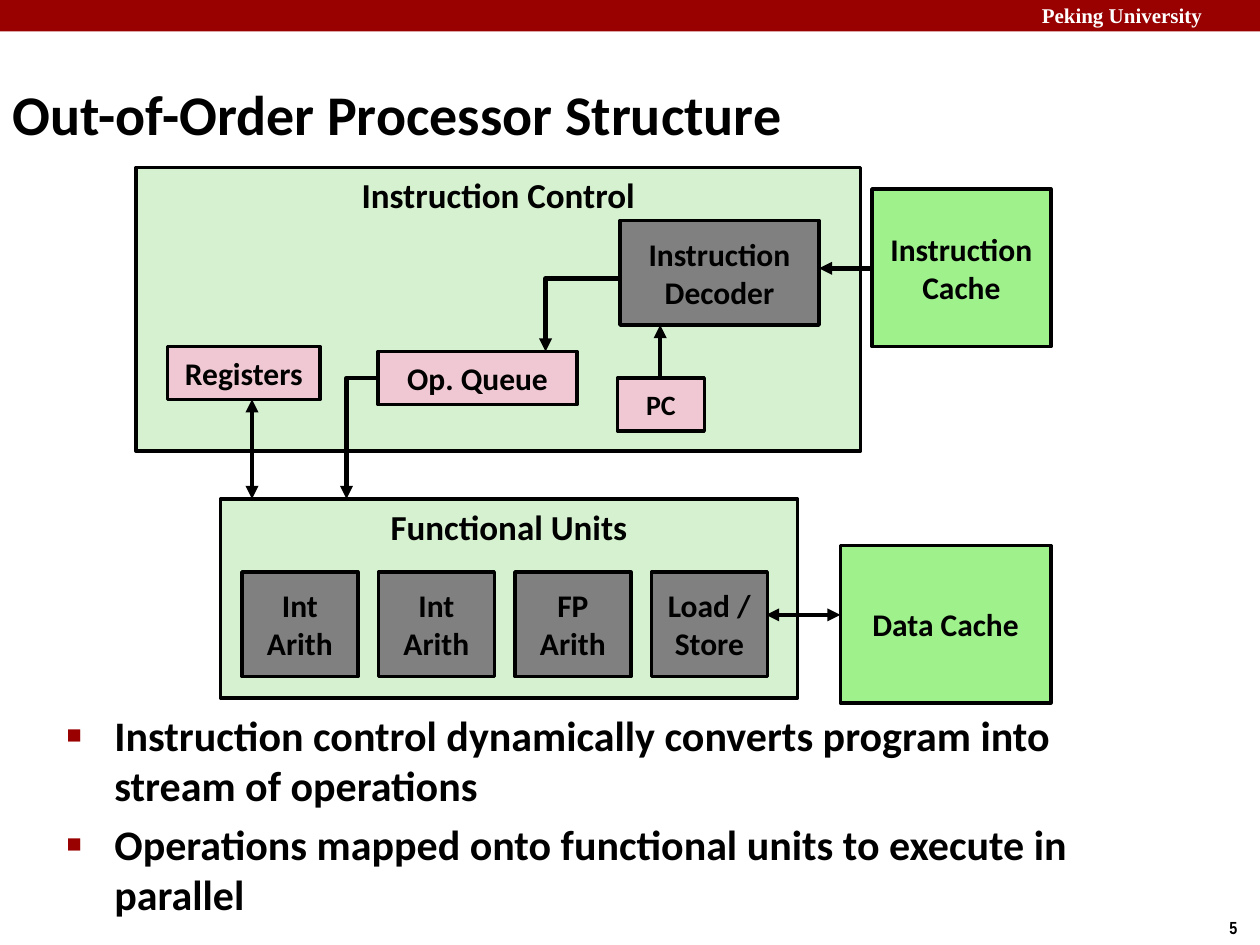
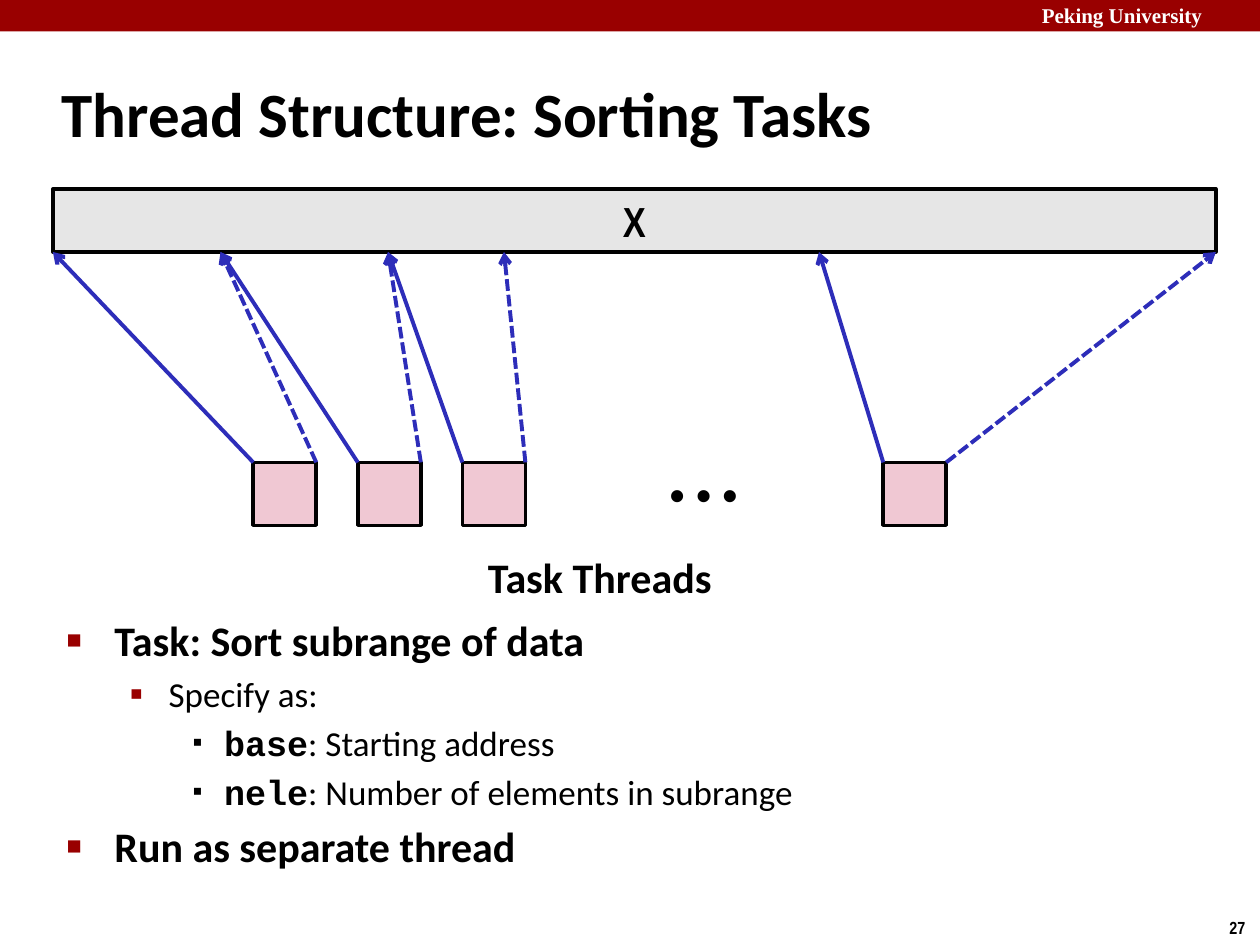
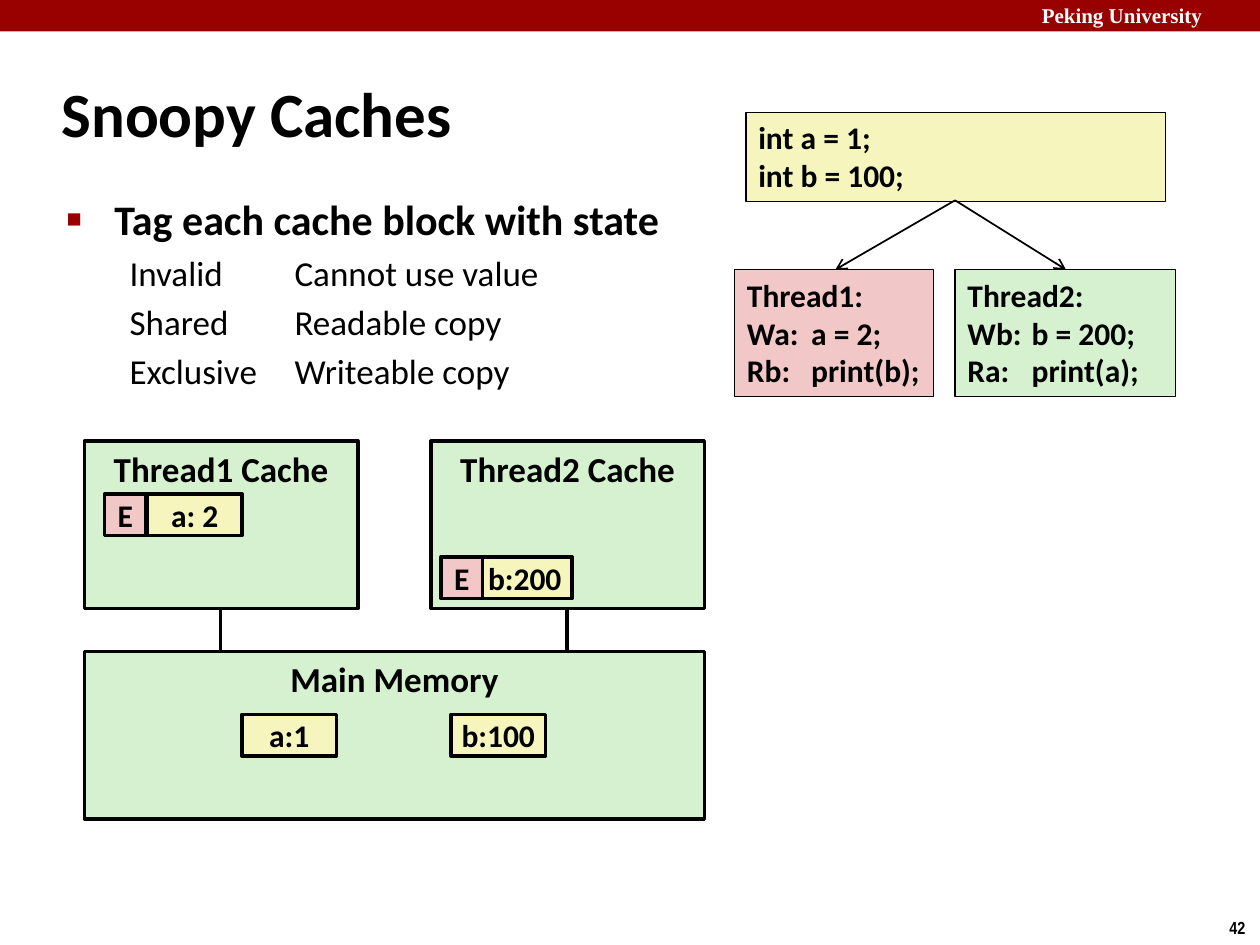
from lxml import etree
from pptx import Presentation
from pptx.dml.color import RGBColor
from pptx.enum.dml import MSO_LINE
from pptx.enum.shapes import MSO_CONNECTOR, MSO_SHAPE
from pptx.enum.text import MSO_ANCHOR, PP_ALIGN
from pptx.oxml.ns import qn
from pptx.util import Inches, Pt

RECTANGLE = MSO_SHAPE.RECTANGLE
STRAIGHT, ELBOW = MSO_CONNECTOR.STRAIGHT, MSO_CONNECTOR.ELBOW
DASHED = MSO_LINE.SQUARE_DOT
LEFT, CENTER = PP_ALIGN.LEFT, PP_ALIGN.CENTER
TOP, MIDDLE = MSO_ANCHOR.TOP, MSO_ANCHOR.MIDDLE

COLORS = {
    "black": "000000", "white": "FFFFFF", "band": "990000", "blue": "2D2DB9",
    "unit": "808080", "bar": "E6E6E6", "area": "D5F1CF", "cache": "9EF18B",
    "pink": "F0C8D3", "rose": "F1C7C7", "cream": "F6F5BD",
}
OUTLINE = {
    "point": dict(level=0, size=24, bold=True, margin=0.38, indent=-0.38,
                  char="■", percent=60, color="band"),
    "detail": dict(level=1, size=20, bold=False, margin=0.81, indent=-0.31,
                   char="▪", percent=110, color="band"),
    "item": dict(level=2, size=20, bold=False, margin=1.25, indent=-0.25,
                 char="▪", percent=80, color="black"),
    "term": dict(level=1, size=20, bold=False, margin=1.81, indent=-1.31, char=None),
}


def add_text(page, text, place, fill=None, line=2, size=18, font="Calibri", color="black",
             bold=True, align=LEFT, anchor=TOP, wrap=True, outline=None, tab=None):
    area = [Inches(length) for length in place]
    if fill:
        box = page.shapes.add_shape(RECTANGLE, *area)
        box.shadow.inherit = False
        box.fill.solid()
        box.fill.fore_color.rgb = RGBColor.from_string(COLORS[fill])
        if line:
            box.line.color.rgb = RGBColor.from_string(COLORS["black"])
            box.line.width = Pt(line)
        else:
            box.line.fill.background()
    else:
        box = page.shapes.add_textbox(*area)
    frame = box.text_frame
    frame.word_wrap = wrap
    frame.vertical_anchor = anchor
    for number, words in enumerate(text.split("\n")):
        para = frame.paragraphs[0] if number == 0 else frame.add_paragraph()
        para.alignment = align
        para_size, para_bold = size, bold
        properties = para._p.get_or_add_pPr()
        if outline:
            style = OUTLINE[outline[number]]
            para_size, para_bold = style["size"], style["bold"]
            para.level = style["level"]
            para.space_before = Pt(0.2 * para_size)
            properties.set("marL", str(Inches(style["margin"])))
            properties.set("indent", str(Inches(style["indent"])))
            if style["char"]:
                bullet_color = etree.SubElement(properties, qn("a:buClr"))
                etree.SubElement(bullet_color, qn("a:srgbClr"), val=COLORS[style["color"]])
                etree.SubElement(properties, qn("a:buSzPct"), val=str(style["percent"] * 1000))
                etree.SubElement(properties, qn("a:buFont"), typeface="Arial")
                etree.SubElement(properties, qn("a:buChar"), char=style["char"])
        if tab:
            stops = etree.SubElement(properties, qn("a:tabLst"))
            etree.SubElement(stops, qn("a:tab"), pos=str(Inches(tab)), algn="l")
        for part, piece in enumerate(words.split("`")):
            if piece:
                is_code = part % 2 == 1
                span = para.add_run()
                span.text = piece
                span.font.name = "Courier New" if is_code else font
                span.font.size = Pt(para_size)
                span.font.bold = is_code or para_bold
                span.font.color.rgb = RGBColor.from_string(COLORS[color])


def add_line(page, start, end, width=2.5, color="black", head=None, tail=None,
             dashed=False, bent=False):
    points = [Inches(length) for length in (*start, *end)]
    connector = page.shapes.add_connector(ELBOW if bent else STRAIGHT, *points)
    connector.line.color.rgb = RGBColor.from_string(COLORS[color])
    connector.line.width = Pt(width)
    if dashed:
        connector.line.dash_style = DASHED
    properties = connector._element.spPr
    if bent:
        properties.find(qn("a:prstGeom")).set("prst", "bentConnector2")
    stroke = properties.find(qn("a:ln"))
    for tag, arrow in (("a:headEnd", head), ("a:tailEnd", tail)):
        if arrow:
            etree.SubElement(stroke, qn(tag), type=arrow)
    etree.SubElement(properties, qn("a:effectLst"))


deck = Presentation()
deck.slide_width, deck.slide_height = Inches(10), Inches(7.5)
centered = dict(align=CENTER, anchor=MIDDLE)

pages = []
for title, number, left, title_size in [
    ("Out-of-Order Processor Structure", "5", 0, 32),
    ("Thread Structure: Sorting Tasks", "27", 0.39, 36),
    ("Snoopy Caches", "42", 0.39, 36),
]:
    page = deck.slides.add_slide(deck.slide_layouts[6])
    add_text(page, "", (0, 0, 10, 0.25), fill="band", line=None)
    add_text(page, "Peking University", (8.17, -0.03, 1.9, 0.3), size=12,
             font="Times New Roman", color="white")
    add_text(page, number, (9.66, 7.23, 0.34, 0.27), size=10, font="Arial Narrow", wrap=False)
    add_text(page, title, (left, 0.48, 8.3, 0.83), size=title_size, anchor=MIDDLE)
    pages.append(page)
processor_page, sorting_page, caches_page = pages

add_text(processor_page,
         "Instruction control dynamically converts program into stream of operations\n"
         "Operations mapped onto functional units to execute in parallel",
         (0.43, 5.58, 8.65, 1.34), outline=("point", "point"))
for name, place in [
    ("Functional Units", (1.75, 3.96, 4.58, 1.58)),
    ("Instruction Control", (1.08, 1.33, 5.75, 2.25)),
]:
    add_text(processor_page, name, place, fill="area", size=20, align=CENTER)
for column, name in enumerate(["Int\nArith", "Int\nArith", "FP\nArith", "Load /\nStore"]):
    add_text(processor_page, name, (1.92 + column * 3.25 / 3, 4.54, 0.92, 0.83),
             fill="unit", **centered)
for name, place, fill, size in [
    ("Registers", (1.33, 2.75, 1.21, 0.42), "pink", 18),
    ("Instruction Decoder", (4.92, 1.75, 1.58, 0.83), "unit", 18),
    ("Op. Queue", (3, 2.79, 1.58, 0.42), "pink", 18),
    ("PC", (4.9, 3, 0.69, 0.42), "pink", 16),
    ("Data Cache", (6.67, 4.33, 1.67, 1.25), "cache", 18),
    ("Instruction\nCache", (6.92, 1.5, 1.42, 1.25), "cache", 18),
]:
    add_text(processor_page, name, place, fill=fill, size=size, **centered)
for start, end, head, bent in [
    ((6.67, 4.88), (6.08, 4.88), "triangle", False),
    ((2, 3.17), (2, 3.96), "triangle", False),
    ((6.92, 2.13), (6.5, 2.13), None, False),
    ((5.24, 3), (5.24, 2.58), None, False),
    ((3, 3), (2.75, 3.96), None, True),
    ((4.92, 2.21), (4.33, 2.79), None, True),
]:
    add_line(processor_page, start, end, head=head, tail="triangle", bent=bent)

add_text(sorting_page,
         "Task: Sort subrange of data\nSpecify as:\n`base`: Starting address\n"
         "`nele`: Number of elements in subrange\nRun as separate thread",
         (0.43, 4.83, 8.64, 2.1), outline=("point", "detail", "item", "item", "point"))
add_text(sorting_page, "X", (0.42, 1.5, 9.23, 0.5), fill="bar", size=24,
         font="Arial Narrow", wrap=False, **centered)
thread_top, thread_size, array_bottom = 3.67, 0.5, 2
for thread_left, range_start, range_end in [
    (2.01, 0.42, 1.75), (2.84, 1.75, 3.08), (3.67, 3.08, 4), (7.01, 6.5, 9.65),
]:
    add_text(sorting_page, "", (thread_left, thread_top, thread_size, thread_size), fill="pink")
    add_line(sorting_page, (thread_left, thread_top), (range_start, array_bottom),
             width=2.25, color="blue", tail="arrow")
    add_line(sorting_page, (thread_left + thread_size, thread_top), (range_end, array_bottom),
             width=2.25, color="blue", tail="arrow", dashed=True)
add_text(sorting_page, "• • •", (4.17, thread_top, 2.83, 0.5), size=24, font="Arial",
         wrap=False, **centered)
add_text(sorting_page, "Task Threads", (2.02, 4.33, 5.48, 0.5), size=24, wrap=False, **centered)

add_text(caches_page,
         "Tag each cache block with state\nInvalid\tCannot use value\n"
         "Shared\tReadable copy\nExclusive\tWriteable copy",
         (0.43, 1.49, 8.64, 0.68), outline=("point", "term", "term", "term"))
for name, place in [
    ("Main Memory", (0.67, 5.17, 4.92, 1.33)),
    ("Thread1 Cache", (0.67, 3.5, 2.17, 1.33)),
    ("Thread2 Cache", (3.42, 3.5, 2.17, 1.33)),
]:
    add_text(caches_page, name, place, fill="area", size=20, align=CENTER)
for bus_x in (1.75, 4.5):
    add_line(caches_page, (bus_x, 5.17), (bus_x, 4.83), width=2)
for value, left, top, width, fill in [
    ("a:1", 1.92, 5.67, 0.75, "cream"),
    ("b:100", 3.58, 5.67, 0.75, "cream"),
    ("a: 2", 1.17, 3.92, 0.75, "cream"),
    ("E", 0.83, 3.92, 0.33, "rose"),
    ("b:200", 3.79, 4.42, 0.75, "cream"),
    ("E", 3.5, 4.42, 0.33, "rose"),
]:
    add_text(caches_page, value, (left, top, width, 0.33), fill=fill, wrap=False, **centered)
for code, place, fill, tab in [
    ("int a = 1;\nint b = 100;", (5.92, 0.89, 3.33, 0.71), "cream", None),
    ("Thread1:\nWa:\ta = 2;\nRb:\tprint(b);", (5.83, 2.14, 1.58, 1.01), "rose", 0.51),
    ("Thread2:\nWb:\tb = 200;\nRa:\tprint(a);", (7.58, 2.14, 1.75, 1.01), "area", 0.51),
]:
    add_text(caches_page, code, place, fill=fill, line=0.75, tab=tab)
for thread_center in (6.63, 8.46):
    add_line(caches_page, (7.58, 1.59), (thread_center, 2.14), width=1, tail="arrow")

deck.save("out.pptx")
